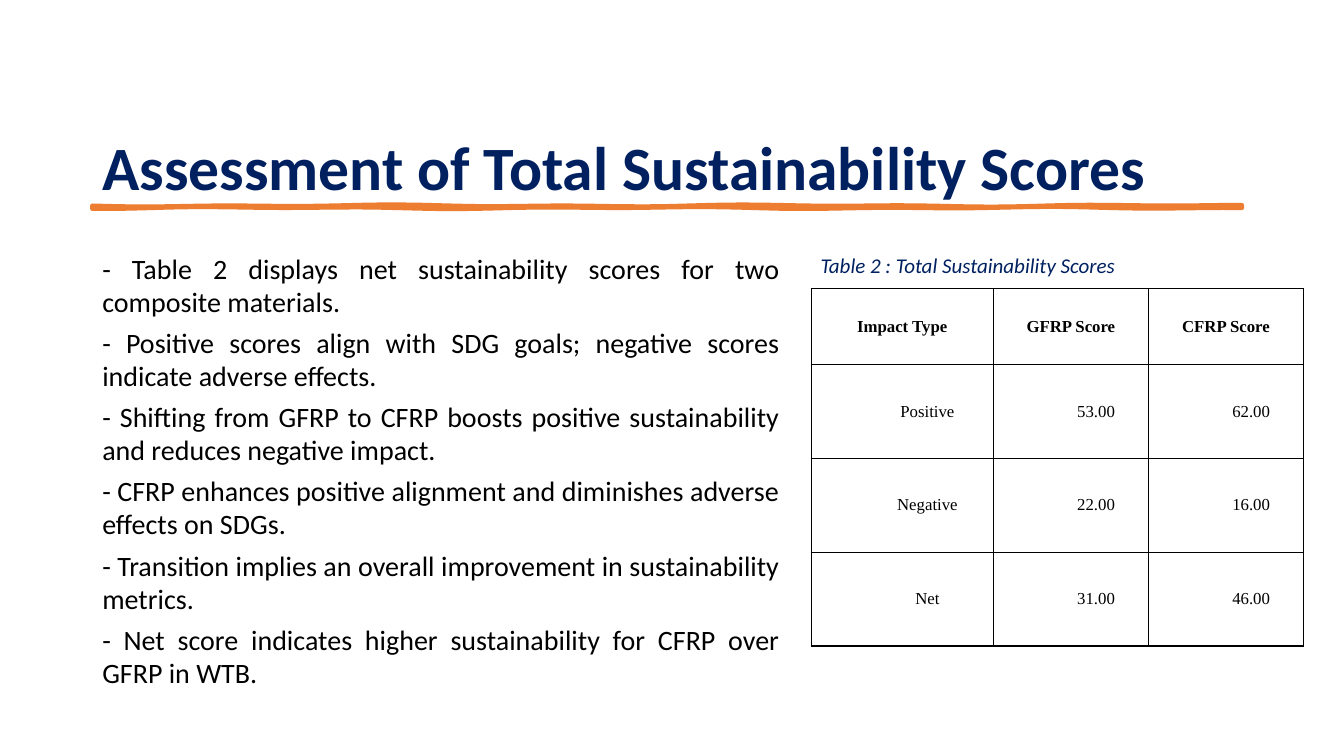
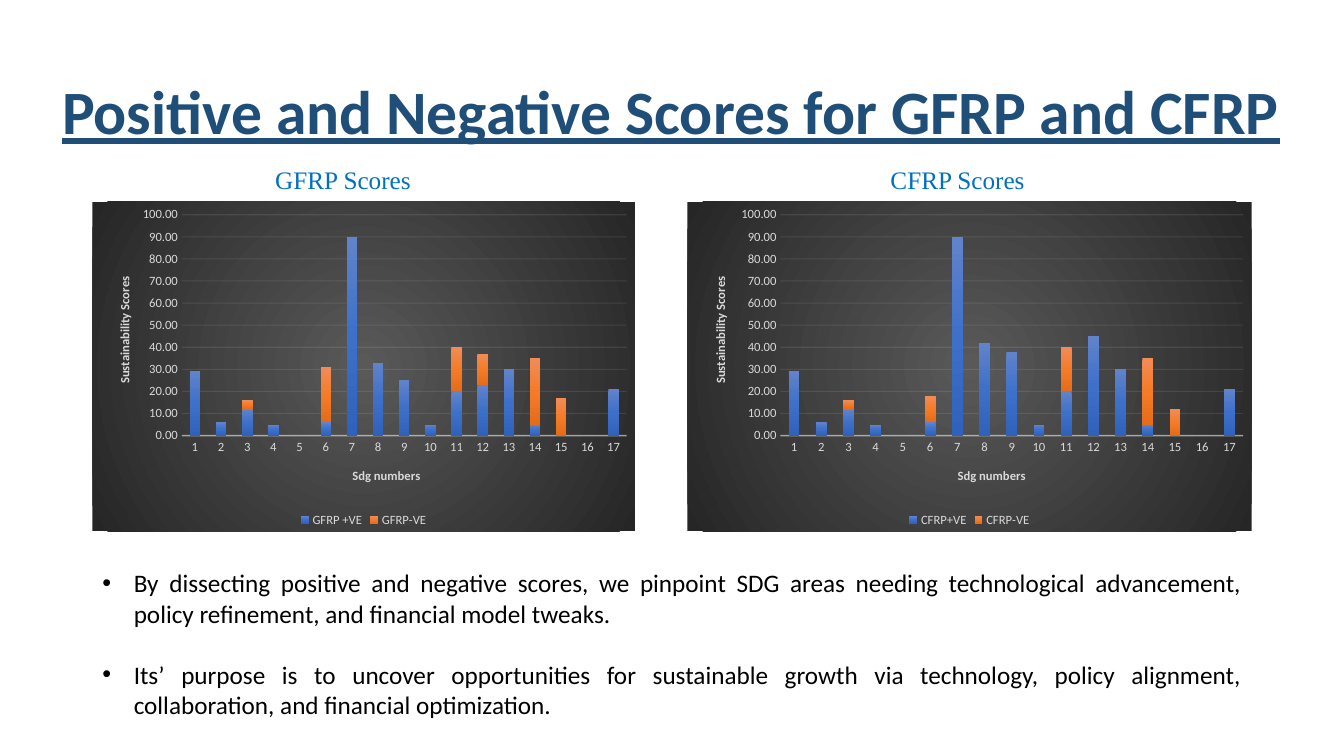
import math

from pptx import Presentation
from pptx import util as u
from pptx.chart.data import CategoryChartData
from pptx.dml.color import RGBColor
from pptx.enum import chart as ch, text
from pptx.oxml import parse_xml
from pptx.oxml.ns import nsdecls, qn

NAVY = RGBColor(0x00, 0x20, 0x60)
STEEL = RGBColor(0x1F, 0x4E, 0x79)
BLUE = RGBColor(0x00, 0x70, 0xC0)
ORANGE = RGBColor(0xED, 0x7D, 0x31)
BLACK = RGBColor(0x00, 0x00, 0x00)
SILVER = RGBColor(0xD9, 0xD9, 0xD9)
PALE = RGBColor(0xF2, 0xF2, 0xF2)
BLUE_BAR = [(0, "6183CB"), (50, "3E70CA"), (100, "3062BB")]
ORANGE_BAR = [(0, "F18C57"), (50, "F67B28"), (100, "E56C19")]
CHART_BACK = [(0, "595959"), (100, "262626")]
DOWNWARD = '<a:lin ang="5400000" scaled="0"/>'
RADIAL = ('<a:path path="circle"><a:fillToRect l="50000" t="50000" '
          'r="50000" b="50000"/></a:path>')
SANS, SERIF = "Calibri", "Times New Roman"
LEFT, CENTER, JUSTIFY = (text.PP_ALIGN.LEFT, text.PP_ALIGN.CENTER,
                         text.PP_ALIGN.JUSTIFY)
MARGIN, FULL_WIDTH = 66, 828


def gradient(stops, direction):
    marks = "".join(f'<a:gs pos="{pos * 1000}"><a:srgbClr val="{color}"/></a:gs>'
                    for pos, color in stops)
    return parse_xml(f'<a:gradFill {nsdecls("a")} rotWithShape="1">'
                     f'<a:gsLst>{marks}</a:gsLst>{direction}</a:gradFill>')


def draw_line(line, color, width, opacity):
    line.color.rgb = color
    line.width = u.Pt(width)
    rgb = line._get_or_add_ln().find(".//" + qn("a:srgbClr"))
    rgb.append(parse_xml(f'<a:alpha {nsdecls("a")} val="{opacity * 1000}"/>'))


def manual_layout(x, y, w=None, h=None):
    """Layout in fractions of the chart; a size makes it the inner plot area."""
    inner = w is not None
    parts = [("layoutTarget", "inner")] if inner else []
    parts += [("xMode", "edge"), ("yMode", "edge"), ("x", x), ("y", y)]
    parts += [("w", w), ("h", h)] if inner else []
    body = "".join(f'<c:{name} val="{value}"/>' for name, value in parts)
    return parse_xml(f'<c:layout {nsdecls("c")}><c:manualLayout>{body}'
                     '</c:manualLayout></c:layout>')


def set_layout(parent, layout, after=None):
    for old in parent.findall(qn("c:layout")):
        parent.remove(old)
    if after is None:
        parent.insert(0, layout)
    else:
        parent.find(qn(after)).addnext(layout)


class Deck:
    def __init__(self):
        self.prs = Presentation()
        self.prs.slide_width, self.prs.slide_height = u.Pt(960), u.Pt(540)
        self.slide = None

    def new_slide(self):
        self.slide = self.prs.slides.add_slide(self.prs.slide_layouts[6])

    def style(self, font, size, color, name=SANS, bold=False, italic=False,
              underline=False):
        font.name, font.size, font.color.rgb = name, u.Pt(size), color
        font.bold, font.italic, font.underline = bold, italic, underline

    def paragraph(self, p, words, size, color, align=LEFT, indent=0, **look):
        p.text = words
        p.alignment = align
        if indent:
            p._p.get_or_add_pPr().set("indent", str(u.Pt(indent)))
        for r in p.runs:
            self.style(r.font, size, color, **look)

    def text(self, box, lines, size, color, anchor=text.MSO_ANCHOR.TOP,
             spacing=1.0, before=0, after=0, bullet=False, **look):
        sp = self.slide.shapes.add_textbox(*map(u.Pt, box))
        tf = sp.text_frame
        tf.word_wrap = True
        tf.vertical_anchor = anchor
        for i, words in enumerate(lines):
            p = tf.add_paragraph() if i else tf.paragraphs[0]
            self.paragraph(p, words, size, color, **look)
            p.line_spacing = spacing
            p.space_before = u.Pt(before if i else 0)
            p.space_after = u.Pt(after)
            if bullet:
                pPr = p._p.get_or_add_pPr()
                pPr.set("marL", str(u.Pt(22.5)))
                pPr.set("indent", str(u.Pt(-22.5)))
                pPr.append(parse_xml(f'<a:buFont {nsdecls("a")} typeface="Arial"/>'))
                pPr.append(parse_xml(f'<a:buChar {nsdecls("a")} char="•"/>'))

    def title(self, box, words, color, **look):
        self.text(box, [words], 44, color, anchor=text.MSO_ANCHOR.MIDDLE,
                  spacing=0.9, bold=True, **look)

    def brush_line(self, left, y, width, steps=60):
        """Hand-drawn underline: a thin band with two uneven edges."""
        def edge(i, base, phase):
            wave = math.sin(i * 0.7 + phase) + math.sin(i * 0.31 + 2 * phase)
            return u.Pt(left + width * i / steps), u.Pt(base + 0.4 * wave)

        top = [edge(i, y, 0) for i in range(steps + 1)]
        bottom = [edge(i, y + 1.4, 1) for i in range(steps, -1, -1)]
        builder = self.slide.shapes.build_freeform(*top[0])
        builder.add_line_segments(top[1:] + bottom, close=True)
        sp = builder.convert_to_shape()
        sp.shadow.inherit = False
        sp.fill.solid()
        sp.fill.fore_color.rgb = ORANGE
        sp.line.color.rgb = ORANGE
        sp.line.width = u.Pt(3.25)
        sp.line._get_or_add_ln().append(parse_xml(f'<a:round {nsdecls("a")}/>'))

    def table(self, left, top, widths, heights, rows):
        frame = self.slide.shapes.add_table(
            len(rows), len(widths), *map(u.Pt, (left, top, sum(widths), sum(heights))))
        table = frame.table
        table.first_row = table.horz_banding = False
        for col, width in zip(table.columns, widths):
            col.width = u.Pt(width)
        for i, (row, height) in enumerate(zip(rows, heights)):
            table.rows[i].height = u.Pt(height)
            for j, words in enumerate(row):
                self.cell(table.cell(i, j), words, header=i == 0)

    def cell(self, cell, words, header):
        cell.margin_left = cell.margin_right = u.Pt(5)
        cell.margin_top = cell.margin_bottom = 0
        cell.vertical_anchor = text.MSO_ANCHOR.MIDDLE
        self.paragraph(cell.text_frame.paragraphs[0], words, 12, BLACK, align=CENTER,
                       indent=0 if header else 36, name=SERIF, bold=header)
        tcPr = cell._tc.get_or_add_tcPr()
        for side in "LRTB":
            tcPr.append(parse_xml(
                f'<a:ln{side} {nsdecls("a")} w="{u.Pt(1)}"><a:solidFill>'
                f'<a:srgbClr val="{BLACK}"/></a:solidFill></a:ln{side}>'))
        cell.fill.background()

    def axis_title(self, axis, words, x, y):
        axis.has_title = True
        tf = axis.axis_title.text_frame
        self.paragraph(tf.paragraphs[0], words, 9, SILVER, align=None, bold=True)
        set_layout(axis.axis_title._element, manual_layout(x, y), after="c:tx")

    def stacked_chart(self, box, series):
        data = CategoryChartData(number_format="0.00")
        data.categories = [str(n) for n in range(1, 18)]
        for name, values in series:
            data.add_series(name, values)
        chart = self.slide.shapes.add_chart(
            ch.XL_CHART_TYPE.COLUMN_STACKED, *map(u.Pt, box), data).chart
        chart.has_title = False
        self.style(chart.font, 10, BLACK)
        back = parse_xml(f'<c:spPr {nsdecls("c", "a")}><a:ln><a:noFill/></a:ln></c:spPr>')
        back.insert(0, gradient(CHART_BACK, RADIAL))
        chart._chartSpace.find(qn("c:chart")).addnext(back)

        plot = chart.plots[0]
        plot.gap_width, plot.overlap = 150, 100
        plot.vary_by_categories = False
        for bars, stops in zip(plot.series, (BLUE_BAR, ORANGE_BAR)):
            bars.invert_if_negative = False
            bars._element.get_or_add_spPr().append(gradient(stops, DOWNWARD))
        set_layout(chart._chartSpace.chart.plotArea,
                   manual_layout(0.165, 0.04, 0.82, 0.67))

        cats, vals = chart.category_axis, chart.value_axis
        for axis in (cats, vals):
            axis.major_tick_mark = axis.minor_tick_mark = ch.XL_TICK_MARK.NONE
            self.style(axis.tick_labels.font, 9, SILVER)
        draw_line(cats.format.line, PALE, 1, 54)
        vals.format.line.fill.background()
        vals.has_major_gridlines = True
        draw_line(vals.major_gridlines.format.line, PALE, 0.75, 10)
        vals.minimum_scale, vals.maximum_scale, vals.major_unit = 0, 100, 10
        vals.tick_labels.number_format = "0.00"
        vals.tick_labels.number_format_is_linked = False
        self.axis_title(cats, "Sdg numbers", 0.475, 0.8)
        self.axis_title(vals, "Sustainability Scores", 0.04, 0.22)

        chart.has_legend = True
        chart.legend.position = ch.XL_LEGEND_POSITION.BOTTOM
        chart.legend.include_in_layout = False
        self.style(chart.legend.font, 9, SILVER)


def total_scores(deck):
    deck.new_slide()
    deck.title((MARGIN, 72, FULL_WIDTH, 99),
               "Assessment of Total Sustainability Scores", NAVY)
    deck.brush_line(MARGIN, 147, 821)
    deck.text((MARGIN, 177, 498, 333), [
        "- Table 2 displays net sustainability scores for two composite materials.",
        "- Positive scores align with SDG goals; negative scores indicate adverse effects.",
        "- Shifting from GFRP to CFRP boosts positive sustainability and reduces "
        "negative impact.",
        "- CFRP enhances positive alignment and diminishes adverse effects on SDGs.",
        "- Transition implies an overall improvement in sustainability metrics.",
        "- Net score indicates higher sustainability for CFRP over GFRP in WTB.",
    ], 20, BLACK, align=JUSTIFY, spacing=0.98, after=6)
    deck.table(579.5, 206, (130, 111, 110.5), (54.5, 67, 67, 67), [
        ("Impact Type", "GFRP Score", "CFRP Score"),
        ("Positive", "53.00", "62.00"),
        ("Negative", "22.00", "16.00"),
        ("Net", "31.00", "46.00"),
    ])
    deck.text((579, 177, 315, 25), ["Table 2 : Total Sustainability Scores"],
              15, NAVY, italic=True)


def scores_by_goal(deck):
    deck.new_slide()
    deck.title((6.5, 29, 946, 106), "Positive and Negative Scores for GFRP and CFRP",
               STEEL, align=CENTER, underline=True)
    panels = [
        ("GFRP Scores", 189.5, 66, 387.5, [
            ("GFRP +VE", (29, 6, 12, 5, 0, 6, 90, 33, 25, 5, 20, 23, 30, 5, 0, 0, 21)),
            ("GFRP-VE", (0, 0, 4, 0, 0, 25, 0, 0, 0, 0, 20, 14, 0, 30, 17, 0, 0))]),
        ("CFRP Scores", 629, 491, 403, [
            ("CFRP+VE", (29, 6, 12, 5, 0, 6, 90, 42, 38, 5, 20, 45, 30, 5, 0, 0, 21)),
            ("CFRP-VE", (0, 0, 4, 0, 0, 12, 0, 0, 0, 0, 20, 0, 0, 30, 12, 0, 0))]),
    ]
    for label, label_left, left, width, series in panels:
        deck.stacked_chart((left, 144, width, 235.5), series)
        deck.text((label_left, 114, 130, 29), [label], 18, BLUE, name=SERIF)
    deck.text((MARGIN, 402, FULL_WIDTH, 117), [
        "By dissecting positive and negative scores, we pinpoint SDG areas needing "
        "technological advancement, policy refinement, and financial model tweaks.",
        "Its’ purpose is to uncover opportunities for sustainable growth via technology, "
        "policy alignment, collaboration, and financial optimization.",
    ], 18, BLACK, align=JUSTIFY, before=22, bullet=True)


def main():
    deck = Deck()
    total_scores(deck)
    scores_by_goal(deck)
    deck.prs.save("out.pptx")


if __name__ == "__main__":
    main()
